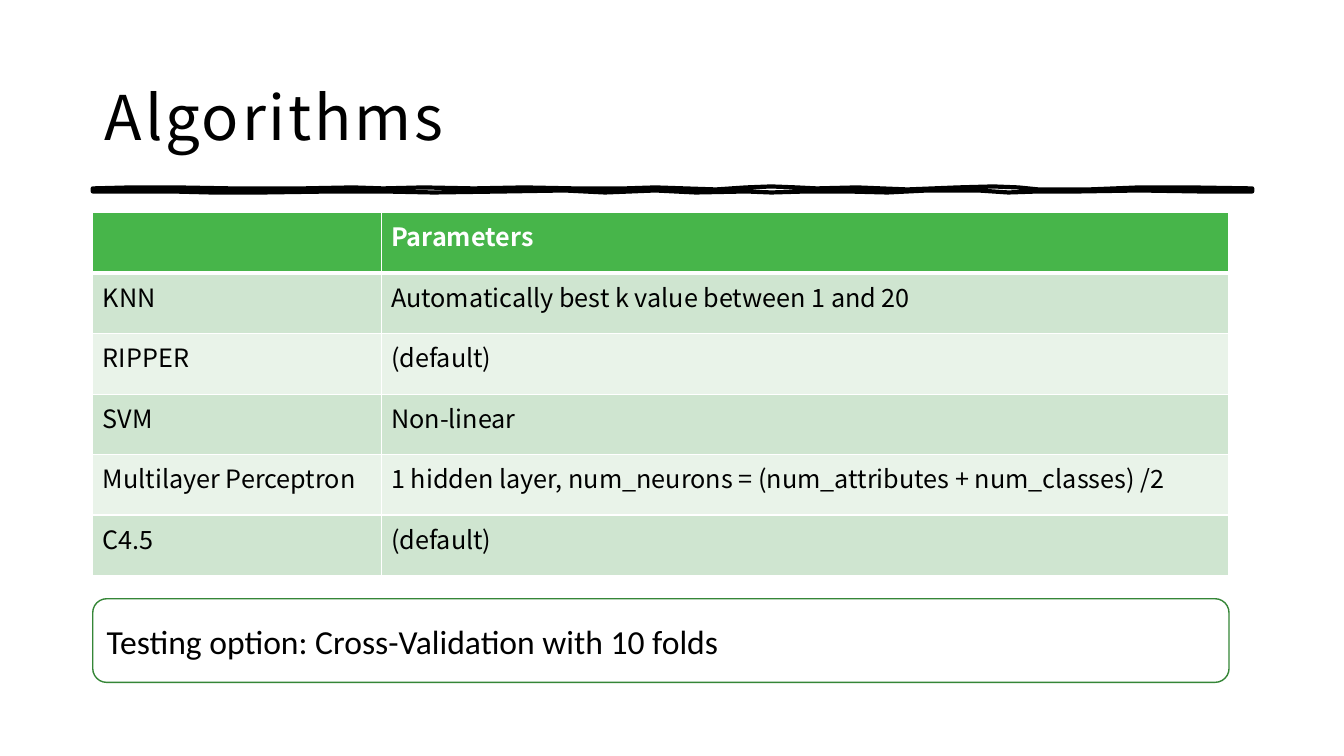
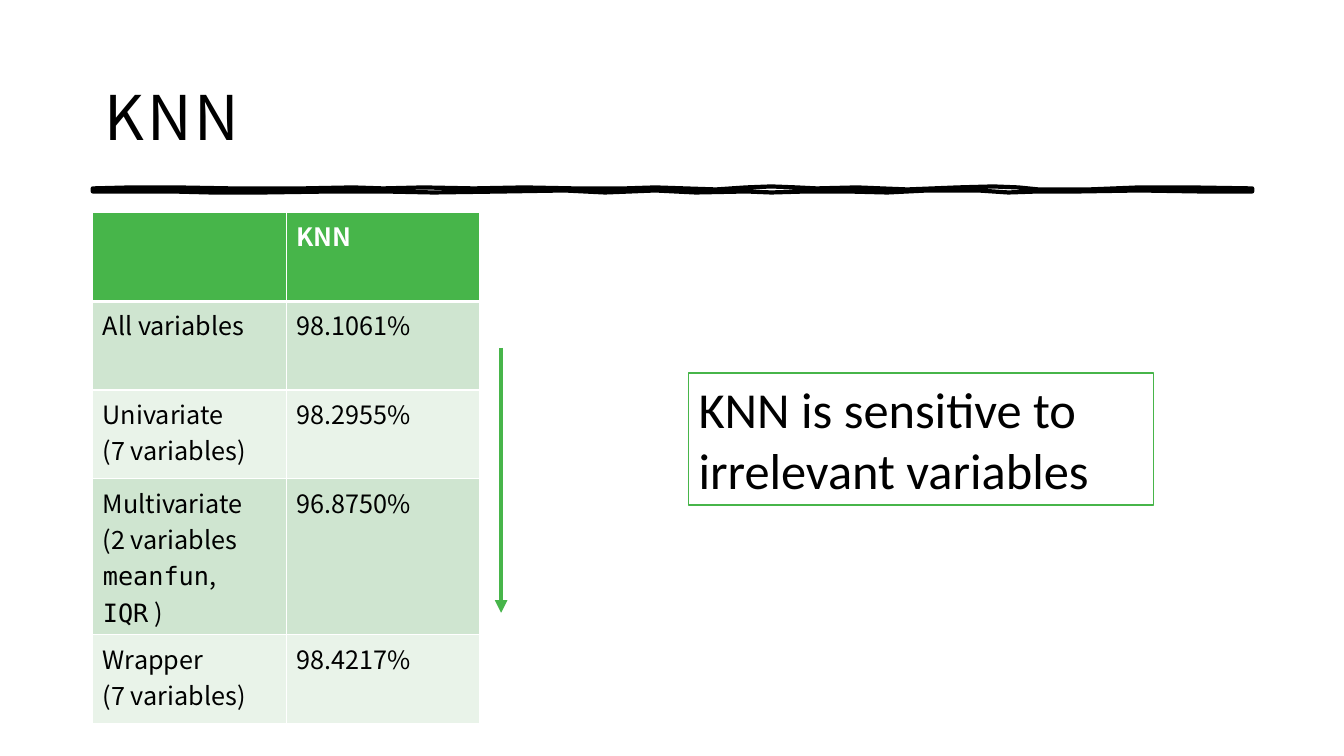
from lxml.etree import SubElement
from pptx import Presentation
from pptx.dml.color import RGBColor
from pptx.enum.shapes import MSO_CONNECTOR, MSO_SHAPE
from pptx.enum.text import MSO_ANCHOR, MSO_AUTO_SIZE, PP_ALIGN
from pptx.oxml import parse_xml
from pptx.oxml.ns import nsdecls, qn
from pptx.util import Inches, Pt

BLACK, WHITE = "000000", "FFFFFF"
GREEN, DARK_GREEN = "47B54A", "358637"
BANDS = ["CFE5D0", "E9F3E9"]
SANS, BODY, MONO = "Noto Sans CJK SC", "Calibri", "DejaVu Sans Mono"
LEFT, WIDTH, TABLE_TOP = 0.92, 11.5, 2.11

# Edges of the hand-drawn rule under the title, as (x, y) in inches
RULE_TOP = [(0.92, 1.87), (1.3, 1.86), (1.75, 1.86), (2.3, 1.87), (3.0, 1.87),
            (3.5, 1.86), (3.8, 1.87), (4.2, 1.86), (4.7, 1.87), (5.2, 1.86),
            (5.7, 1.87), (6.2, 1.87), (6.5, 1.86), (7.1, 1.88), (7.4, 1.86),
            (7.65, 1.85), (7.9, 1.86), (8.1, 1.87), (8.5, 1.86), (9.0, 1.88),
            (9.5, 1.86), (9.85, 1.85), (10.1, 1.86), (10.3, 1.88),
            (10.8, 1.88), (11.3, 1.86), (11.8, 1.86), (12.42, 1.87)]
RULE_BOTTOM = [(12.42, 1.9), (11.9, 1.9), (11.3, 1.89), (10.7, 1.9),
               (10.3, 1.9), (10.0, 1.91), (9.7, 1.89), (9.2, 1.89),
               (8.8, 1.91), (8.4, 1.9), (8.0, 1.9), (7.65, 1.91), (7.4, 1.9),
               (6.9, 1.91), (6.5, 1.89), (6.0, 1.91), (5.6, 1.89), (5.0, 1.9),
               (4.3, 1.91), (3.8, 1.9), (3.3, 1.9), (2.6, 1.91), (2.1, 1.91),
               (1.7, 1.9), (0.92, 1.9)]


def rgb(hex_color):
    return RGBColor.from_string(hex_color)


class Deck:
    """Holds the shared style and the slide being built."""

    def __init__(self):
        self.prs = Presentation()
        self.prs.slide_width, self.prs.slide_height = Inches(13.33), Inches(7.5)
        self.s = None

    def new_slide(self, title):
        self.s = self.prs.slides.add_slide(self.prs.slide_layouts[5])
        self.rule()
        sp = self.s.shapes.title
        sp.left, sp.top = Inches(LEFT), Inches(0.4)
        sp.width, sp.height = Inches(WIDTH), Inches(1.45)
        tf = sp.text_frame
        tf.auto_size = MSO_AUTO_SIZE.NONE
        tf.word_wrap = True
        tf.vertical_anchor = MSO_ANCHOR.MIDDLE
        tf.margin_left = tf.margin_right = tf.margin_top = Inches(0.12)
        tf.margin_bottom = Inches(0.1)
        self.fill_text(tf, title, 44)
        p = tf.paragraphs[0]
        p.line_spacing = 1.05
        p.runs[0].font._element.set("spc", "200")

    def rule(self):
        points = [(Inches(x), Inches(y)) for x, y in RULE_TOP + RULE_BOTTOM]
        builder = self.s.shapes.build_freeform(*points[0])
        builder.add_line_segments(points[1:], close=True)
        self.outline(builder.convert_to_shape(), BLACK, 3)

    def outline(self, sp, color, width, fill=None):
        sp.shadow.inherit = False
        sp.line.color.rgb = rgb(color)
        sp.line.width = Pt(width)
        if fill:
            sp.fill.solid()
            sp.fill.fore_color.rgb = rgb(fill)
        else:
            sp.fill.background()

    def fill_text(self, tf, text, size, color=BLACK, font=SANS, bold=False):
        """Add one paragraph per line; text between backticks is monospaced."""
        for i, line in enumerate(text.split("\n")):
            p = tf.add_paragraph() if i else tf.paragraphs[0]
            p.alignment = PP_ALIGN.LEFT
            for j, part in enumerate(line.split("`")):
                if not part:
                    continue
                r = p.add_run()
                r.text = part
                r.font.name = MONO if j % 2 else font
                r.font.size = Pt(size)
                r.font.bold = bold
                r.font.color.rgb = rgb(color)

    def box(self, kind, x, y, w, h, text, size, line, fill=None):
        sp = self.s.shapes.add_shape(kind, Inches(x), Inches(y),
                                     Inches(w), Inches(h))
        self.outline(sp, line, 1, fill)
        tf = sp.text_frame
        tf.word_wrap = True
        tf.vertical_anchor = MSO_ANCHOR.MIDDLE
        self.fill_text(tf, text, size, font=BODY)

    def arrow(self, x1, y1, x2, y2):
        c = self.s.shapes.add_connector(MSO_CONNECTOR.STRAIGHT, Inches(x1),
                                        Inches(y1), Inches(x2), Inches(y2))
        c.line.color.rgb = rgb(GREEN)
        c.line.width = Pt(3)
        SubElement(c.line._get_or_add_ln(), qn("a:tailEnd"), type="triangle")
        SubElement(c._element.spPr, qn("a:effectLst"))

    def table(self, rows, col_widths, row_height):
        frame = self.s.shapes.add_table(
            len(rows), len(col_widths), Inches(LEFT), Inches(TABLE_TOP),
            Inches(sum(col_widths)), Inches(row_height * len(rows)))
        table = frame.table
        for column, width in zip(table.columns, col_widths):
            column.width = Inches(width)
        for i, row in enumerate(rows):
            table.rows[i].height = Inches(row_height)
            header = i == 0
            for j, text in enumerate(row):
                cell = table.cell(i, j)
                cell.fill.solid()
                cell.fill.fore_color.rgb = rgb(
                    GREEN if header else BANDS[(i - 1) % 2])
                self.fill_text(cell.text_frame, text, 18,
                               WHITE if header else BLACK, bold=header)
                self.borders(cell, top=3 if i == 1 else 1,
                             bottom=3 if header else 1)

    def borders(self, cell, top, bottom):
        tc_pr = cell._tc.get_or_add_tcPr()
        sides = [("L", 1), ("R", 1), ("T", top), ("B", bottom)]
        for i, (side, width) in enumerate(sides):
            tc_pr.insert(i, parse_xml(
                f'<a:ln{side} {nsdecls("a")} w="{Pt(width)}"><a:solidFill>'
                f'<a:srgbClr val="{WHITE}"/></a:solidFill></a:ln{side}>'))


def main():
    deck = Deck()

    deck.new_slide("Algorithms")
    deck.table([
        ("", "Parameters"),
        ("KNN", "Automatically best k value between 1 and 20"),
        ("RIPPER", "(default)"),
        ("SVM", "Non-linear"),
        ("Multilayer Perceptron",
         "1 hidden layer, num_neurons = (num_attributes + num_classes) /2"),
        ("C4.5", "(default)"),
    ], [2.86, 8.41], 0.6)
    deck.box(MSO_SHAPE.ROUNDED_RECTANGLE, LEFT, 5.94, 11.27, 0.83,
             "Testing option: Cross-Validation with 10 folds", 24, DARK_GREEN)

    deck.new_slide("KNN")
    deck.table([
        ("", "KNN"),
        ("All variables", "98.1061%"),
        ("Univariate\n(7 variables)", "98.2955%"),
        ("Multivariate\n(2 variables\n`meanfun`, `IQR` )", "96.8750%"),
        ("Wrapper\n(7 variables)", "98.4217%"),
    ], [1.92, 1.92], 0.88)
    deck.arrow(4.97, 3.45, 4.97, 6.08)
    deck.box(MSO_SHAPE.RECTANGLE, 6.83, 3.7, 4.61, 1.31,
             "KNN is sensitive to irrelevant variables", 36, GREEN, WHITE)

    deck.prs.save("out.pptx")


if __name__ == "__main__":
    main()
